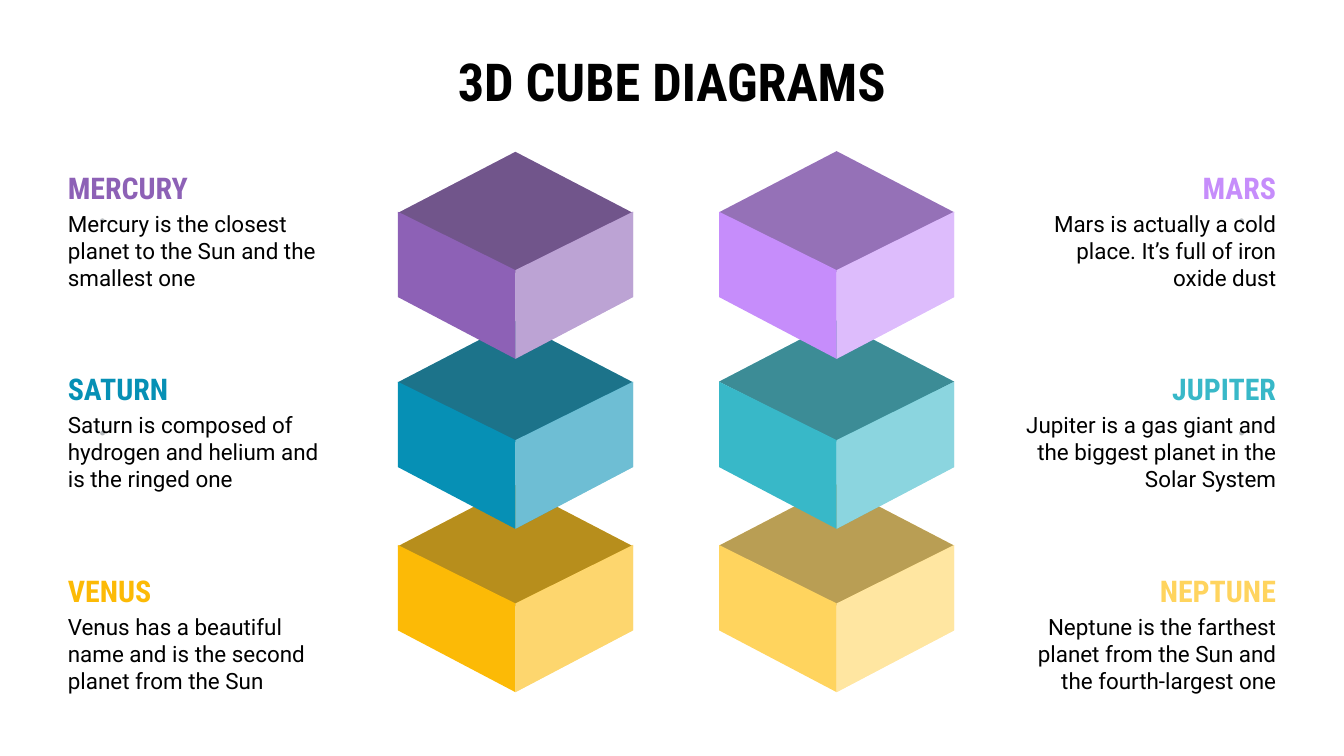
import lxml.etree
import pptx
import pptx.util
import pptx.oxml.ns
from pptx.dml.color import RGBColor
from pptx.enum.shapes import MSO_SHAPE
from pptx.enum.text import MSO_ANCHOR, PP_ALIGN
from pptx.util import Inches

BLACK = RGBColor(0x00, 0x00, 0x00)
WHITE = RGBColor(0xFF, 0xFF, 0xFF)
SHADE = RGBColor(0x43, 0x43, 0x43)
DOT = RGBColor(0xB9, 0xBD, 0xC0)
PURPLE = RGBColor(0x8D, 0x61, 0xB6)
BLUE = RGBColor(0x06, 0x90, 0xB5)
AMBER = RGBColor(0xFC, 0xBA, 0x06)
LILAC = RGBColor(0xC6, 0x8D, 0xFB)
TEAL = RGBColor(0x38, 0xB8, 0xC8)
YELLOW = RGBColor(0xFF, 0xD4, 0x5E)

prs = pptx.Presentation()
prs.slide_width = Inches(20)
prs.slide_height = Inches(11.25)
s = prs.slides.add_slide(prs.slide_layouts[5])


def add_face(points, color, alpha=None):
    pts = [(Inches(x), Inches(y)) for x, y in points]
    fb = s.shapes.build_freeform(*pts[0])
    fb.add_line_segments(pts[1:], close=True)
    sp = fb.convert_to_shape()
    sp.shadow.inherit = False
    sp.line.fill.background()
    sp.fill.solid()
    sp.fill.fore_color.rgb = color
    if alpha is not None:
        clr = sp._element.spPr.find(".//" + pptx.oxml.ns.qn("a:srgbClr"))
        a = lxml.etree.SubElement(clr, pptx.oxml.ns.qn("a:alpha"))
        a.set("val", str(alpha * 1000))


def set_text(sp, text, font, size, color, bold, align):
    tf = sp.text_frame
    tf.word_wrap = True
    tf.vertical_anchor = MSO_ANCHOR.TOP
    tf.margin_left = tf.margin_right = Inches(0.2)
    tf.margin_top = tf.margin_bottom = Inches(0.2)
    p = tf.paragraphs[0]
    p.text = text
    p.alignment = align
    p.font.name = font
    p.font.size = pptx.util.Pt(size)
    p.font.bold = bold
    p.font.color.rgb = color
    return p


title = s.shapes.title
title.left, title.top = Inches(1), Inches(0.53)
title.width, title.height = Inches(18), Inches(1.25)
set_text(title, "3D CUBE DIAGRAMS", "Roboto Condensed", 56, BLACK, True, PP_ALIGN.CENTER)

columns = [
    (7.67, 0.01, 0.81, 1.49, PP_ALIGN.LEFT, [
        ("MERCURY", "Mercury is the closest planet to the Sun and the smallest one", PURPLE),
        ("SATURN", "Saturn is composed of hydrogen and helium and is the ringed one", BLUE),
        ("VENUS", "Venus has a beautiful name and is the second planet from the Sun", AMBER),
    ]),
    (12.45, 0, 19.19, 18.44, PP_ALIGN.RIGHT, [
        ("MARS", "Mars is actually a cold place. It’s full of iron oxide dust", LILAC),
        ("JUPITER", "Jupiter is a gas giant and the biggest planet in the Solar System", TEAL),
        ("NEPTUNE", "Neptune is the farthest planet from the Sun and the fourth-largest one", YELLOW),
    ]),
]
rows = [(2.25, 3.15, 3.25, 2.25), (4.77, 5.68, 6.41, 5.24), (7.21, 8.11, 9.29, 8.24)]
HALF = 1.75

for cx, dy, edge, dot_x, align, planets in columns:
    for (name, note, color), (top_y, side_y, dot_y, text_y) in reversed(list(zip(planets, rows))):
        y = top_y + dy
        top = [(cx, y), (cx - HALF, y + 0.91), (cx, y + 1.8), (cx + HALF, y + 0.91)]
        left, right = [
            [(cx + dx, side_y), (cx, side_y + 0.87), (cx, side_y + 2.19), (cx + dx, side_y + 1.27)]
            for dx in (-HALF, HALF)
        ]
        add_face(top, color)
        add_face(top, SHADE, 37)
        add_face(left, color)
        add_face(right, color)
        add_face(right, WHITE, 42)

        sp = s.shapes.add_shape(MSO_SHAPE.OVAL, Inches(dot_x), Inches(dot_y), Inches(0.07), Inches(0.07))
        sp.shadow.inherit = False
        sp.line.fill.background()
        sp.fill.solid()
        sp.fill.fore_color.rgb = DOT

        for text, font, size, clr, bold, w, h, offset in [
            (name, "Roboto Condensed", 32, color, True, 2.86, 0.84, 0),
            (note, "Roboto", 24, BLACK, False, 4.21, 1.25, 0.68),
        ]:
            x = edge - w if align == PP_ALIGN.RIGHT else edge
            sp = s.shapes.add_textbox(Inches(x), Inches(text_y + offset), Inches(w), Inches(h))
            p = set_text(sp, text, font, size, clr, bold, align)
            if bold:
                p.line_spacing = 1.15

prs.save("out.pptx")
